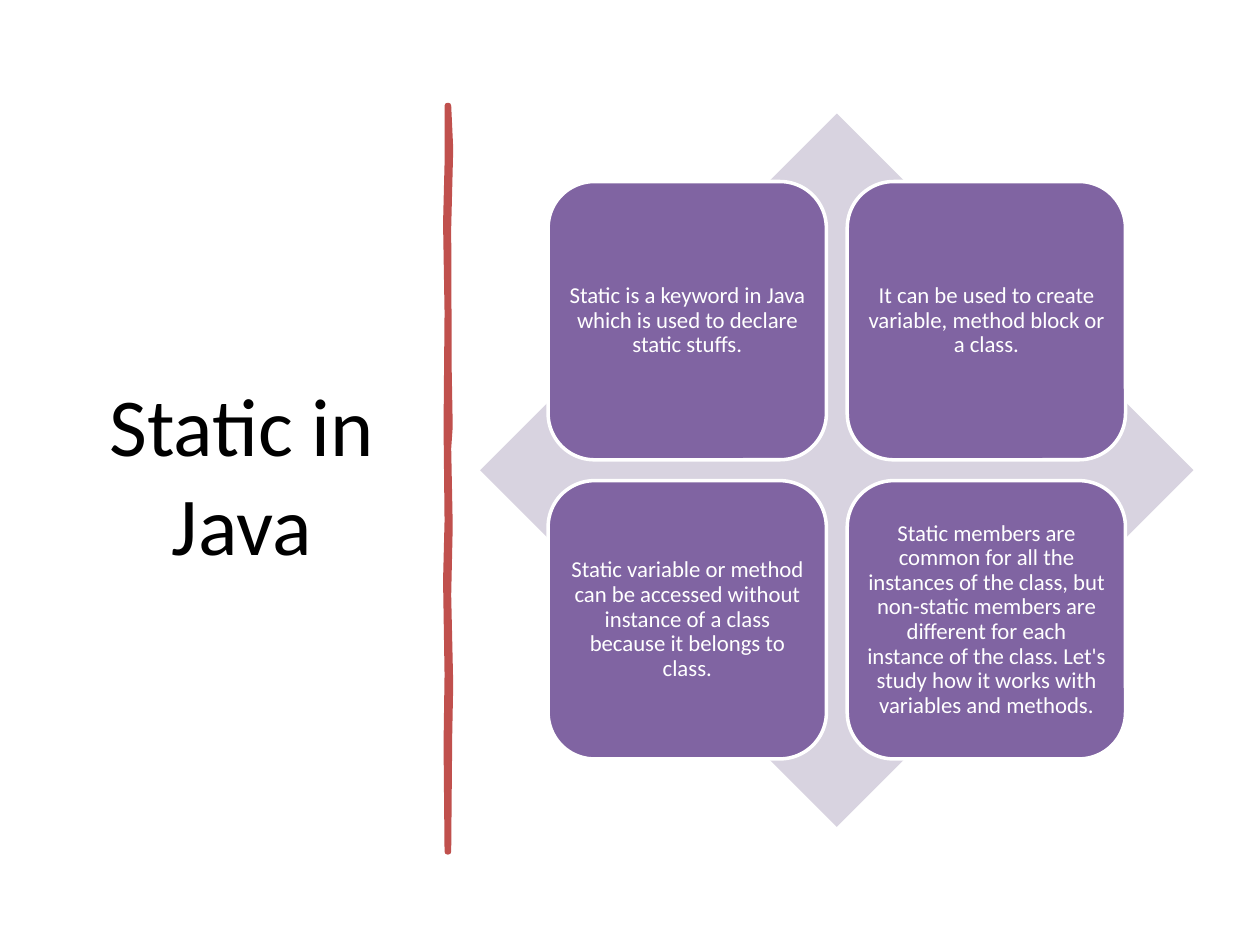
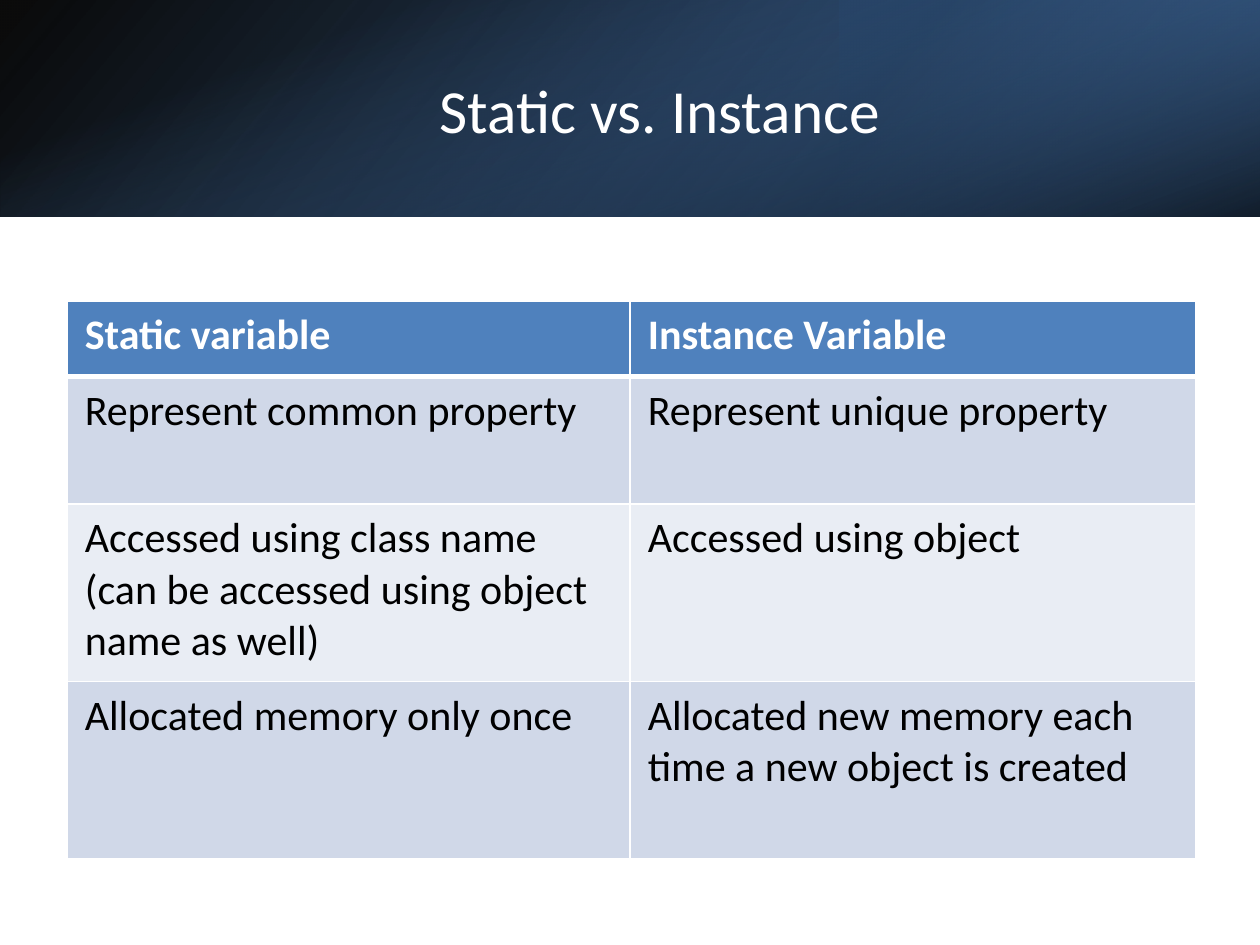
from itertools import product
from lxml.etree import SubElement
from pptx import Presentation
from pptx.dml.color import RGBColor
from pptx.enum.shapes import MSO_SHAPE
from pptx.enum.text import MSO_ANCHOR, MSO_AUTO_SIZE, PP_ALIGN
from pptx.oxml import parse_xml
from pptx.oxml.ns import nsdecls, qn
from pptx.util import Cm, Pt

# Shared style
FONT = "Calibri"
BLACK = RGBColor(0x00, 0x00, 0x00)
WHITE = RGBColor(0xFF, 0xFF, 0xFF)
RED = RGBColor(0xC0, 0x50, 0x4D)
LILAC = RGBColor(0xD8, 0xD3, 0xE0)
PURPLE = RGBColor(0x80, 0x64, 0xA2)
BLUE = RGBColor(0x4F, 0x81, 0xBD)
DEEP = RGBColor(0x37, 0x60, 0x92)
NAVY = RGBColor(0x25, 0x40, 0x61)
PALE = RGBColor(0xD0, 0xD8, 0xE8)
MIST = RGBColor(0xE9, 0xED, 0xF4)
WIDTH, HEIGHT = 25.4, 19.05

# Slide 1: facts and the hand-drawn bar (cm)
FACTS = [
    "Static is a keyword in Java which is used to declare static stuffs.",
    "It can be used to create variable, method block or a class.",
    "Static variable or method can be accessed without instance of a class "
    "because it belongs to class.",
    "Static members are common for all the instances of the class, but "
    "non-static members are different for each instance of the class. "
    "Let's study how it works with variables and methods.",
]
MID_X, MID_Y = 16.87, 9.48
DIAMOND, TILE, GAP = 14.38, 5.61, 0.42
BAR = [
    (9.04, 2.13), (9.08, 3), (9.04, 4.6), (9.05, 7.5), (9.07, 8.6),
    (9.04, 9.04), (9.07, 10.6), (9.04, 12), (9.08, 13.8), (9.06, 14.8),
    (9.04, 17.17), (9.02, 17.17), (9, 15), (9.02, 13.6), (8.99, 11.7),
    (9.02, 10.5), (9, 8.6), (9.02, 6.3), (8.99, 4.5), (9.02, 3.3),
    (9.02, 2.13),
]

# Slide 2: comparison table and header bands
ROWS = [
    ("Static variable", "Instance Variable"),
    ("Represent common property", "Represent unique property"),
    ("Accessed using class name (can be accessed using object name as well)",
     "Accessed using object"),
    ("Allocated memory only once",
     "Allocated new memory each time a new object is created"),
]
COLS = [11.35, 11.4]
TALL = [1.52, 2.57, 3.58, 3.58]
BAND = 4.37
SIDE = (WIDTH - BAND) / 2
# box, rotation, flipped, gradient angle, stops (percent, colour, opacity)
BANDS = [
    ((0, 0, WIDTH, BAND), 0, True, 140, [(0, BLACK, 96), (100, DEEP, 100)]),
    ((WIDTH * 2 / 3, 0, WIDTH / 3, BAND), 180, True, 320,
     [(19, NAVY, 68), (100, BLUE, 79)]),
    ((SIDE, -SIDE, BAND, WIDTH), 90, False, 340,
     [(23, BLUE, 0), (99, BLACK, 74)]),
]


def style(frame, size, color, bold=False, align=PP_ALIGN.CENTER):
    for para in frame.paragraphs:
        para.alignment = align
        for run in para.runs:
            font = run.font
            font.name, font.size, font.bold = FONT, Pt(size), bold
            font.color.rgb = color


def new_slide(deck, text, box, size, color):
    slide = deck.slides.add_slide(deck.slide_layouts[5])
    title = slide.shapes.title
    title.left, title.top, title.width, title.height = map(Cm, box)
    frame = title.text_frame
    frame.text = text
    frame.word_wrap = True
    frame.auto_size = MSO_AUTO_SIZE.NONE
    frame.vertical_anchor = MSO_ANCHOR.MIDDLE
    style(frame, size, color)
    return slide


def paint(shape, fill, line=None, width=0):
    shape.shadow.inherit = False
    shape.fill.solid()
    shape.fill.fore_color.rgb = fill
    if line is None:
        shape.line.fill.background()
    else:
        shape.line.color.rgb = line
        shape.line.width = Pt(width)


def add_band(slide, box, turn, flip, angle, stops):
    shape = slide.shapes.add_shape(MSO_SHAPE.RECTANGLE, *map(Cm, box))
    shape.shadow.inherit = False
    shape.line.fill.background()
    shape.rotation = turn
    props = shape.element.spPr
    frame = props.find(qn("a:xfrm"))
    if flip:
        frame.set("flipH", "1")
    marks = "".join(
        f'<a:gs pos="{pos * 1000}"><a:srgbClr val="{color}">'
        f'<a:alpha val="{alpha * 1000}"/></a:srgbClr></a:gs>'
        for pos, color, alpha in stops)
    props.find(qn("a:prstGeom")).addnext(parse_xml(
        f'<a:gradFill {nsdecls("a")} rotWithShape="1"><a:gsLst>{marks}'
        f'</a:gsLst><a:lin ang="{angle * 60000}" scaled="0"/></a:gradFill>'))


def add_edges(cell, base):
    props = cell._tc.get_or_add_tcPr()
    sides = {"lnL": 1, "lnR": 1, "lnT": 1, "lnB": base}
    for spot, (name, width) in enumerate(sides.items()):
        edge = parse_xml(f'<a:{name} {nsdecls("a")} w="{Pt(width)}"/>')
        fill = SubElement(edge, qn("a:solidFill"))
        SubElement(fill, qn("a:srgbClr")).set("val", str(WHITE))
        props.insert(spot, edge)


def facts_slide(deck):
    slide = new_slide(deck, "Static in Java", (1.32, 1.78, 7.11, 15.52),
                      47, BLACK)
    shapes = slide.shapes

    # Dividing bar
    points = [(Cm(x), Cm(y)) for x, y in BAR]
    pen = shapes.build_freeform(*points[0])
    pen.add_line_segments(points[1:], close=True)
    paint(pen.convert_to_shape(), RED, RED, 3.25)

    # Diamond with four tiles
    half = DIAMOND / 2
    back = shapes.add_shape(MSO_SHAPE.DIAMOND, Cm(MID_X - half),
                            Cm(MID_Y - half), Cm(DIAMOND), Cm(DIAMOND))
    paint(back, LILAC)
    start, step = -TILE - GAP / 2, TILE + GAP
    for fact, (row, col) in zip(FACTS, product(range(2), repeat=2)):
        tile = shapes.add_shape(
            MSO_SHAPE.ROUNDED_RECTANGLE, Cm(MID_X + start + col * step),
            Cm(MID_Y + start + row * step), Cm(TILE), Cm(TILE))
        paint(tile, PURPLE, WHITE, 2)
        frame = tile.text_frame
        frame.text = fact
        frame.word_wrap = True
        frame.vertical_anchor = MSO_ANCHOR.MIDDLE
        frame.margin_left = frame.margin_right = Cm(0.13)
        frame.margin_top = frame.margin_bottom = Cm(0.13)
        frame.paragraphs[0].line_spacing = 0.9
        style(frame, 13, WHITE)


def table_slide(deck):
    slide = new_slide(deck, "Static vs. Instance", (2.84, 0.97, 20.93, 2.44),
                      35, WHITE)

    # Header bands, with the title brought in front
    for band in BANDS:
        add_band(slide, *band)
    slide.shapes._spTree.append(slide.shapes.title.element)

    # Comparison table
    table = slide.shapes.add_table(
        len(ROWS), len(COLS), Cm(1.35), Cm(6.07),
        Cm(sum(COLS)), Cm(sum(TALL))).table
    for col, width in zip(table.columns, COLS):
        col.width = Cm(width)
    for r, texts in enumerate(ROWS):
        table.rows[r].height = Cm(TALL[r])
        head = r == 0
        for c, text in enumerate(texts):
            cell = table.cell(r, c)
            cell.text_frame.text = text
            cell.margin_left = cell.margin_right = Cm(0.36)
            cell.margin_top = cell.margin_bottom = Cm(0.18)
            cell.fill.solid()
            cell.fill.fore_color.rgb = BLUE if head else PALE if r % 2 else MIST
            style(cell.text_frame, 24, WHITE if head else BLACK, head,
                  PP_ALIGN.LEFT)
            add_edges(cell, 3 if head else 1)


def main():
    deck = Presentation()
    deck.slide_width, deck.slide_height = Cm(WIDTH), Cm(HEIGHT)
    facts_slide(deck)
    table_slide(deck)
    deck.save("out.pptx")


if __name__ == "__main__":
    main()
